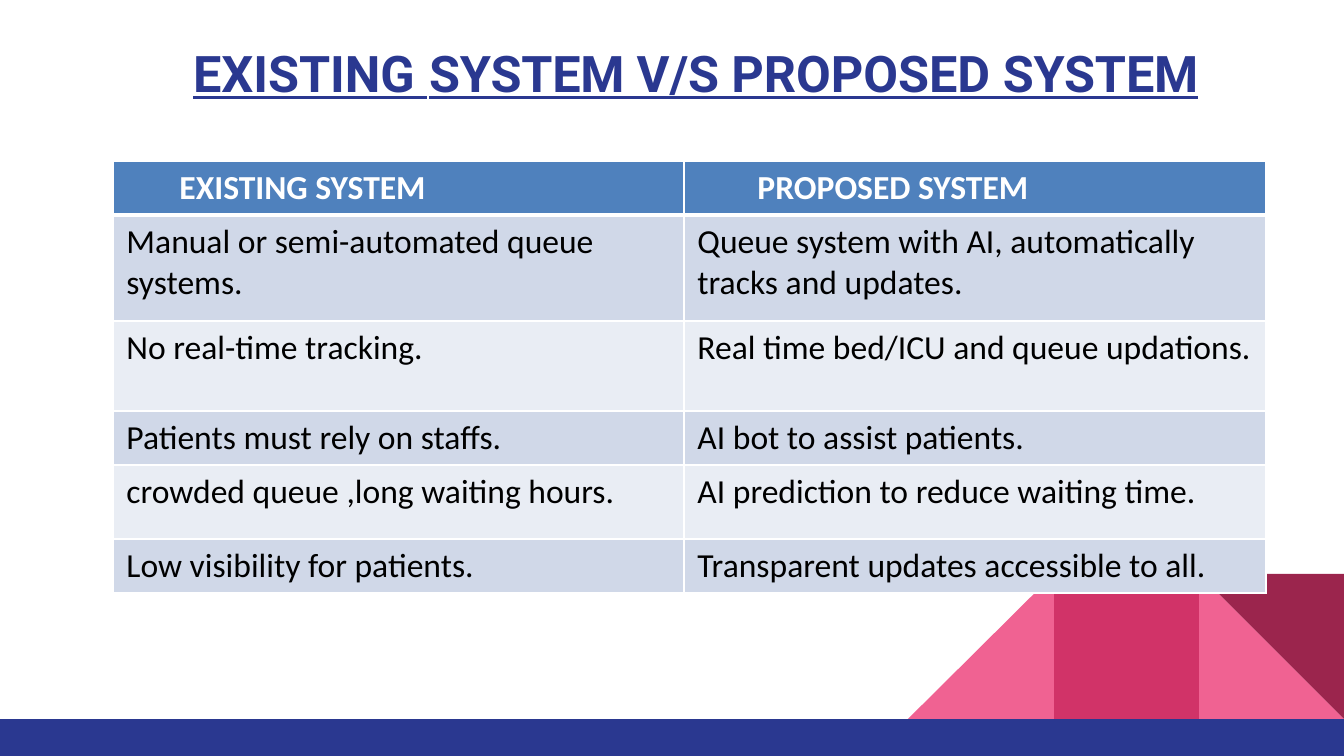
"""Build a slide comparing the existing and proposed queue systems."""
import lxml.etree
import pptx
import pptx.dml.color
import pptx.enum.text
import pptx.oxml.ns
import pptx.util

SCALE = 914400 / 134.4
COLORS = {
    "navy": "2A3890", "pink": "F06292", "rose": "D13368", "wine": "9B254D",
    "head": "4F81BD", "dark": "D0D8E8", "light": "E9EDF4",
    "white": "FFFFFF", "black": "000000",
}


def px(count):
    return pptx.util.Emu(round(count * SCALE))


def color(name):
    return pptx.dml.color.RGBColor.from_string(COLORS[name])


deck = pptx.Presentation()
deck.slide_width, deck.slide_height = px(1344), px(756)
slide = deck.slides.add_slide(deck.slide_layouts[5])

TOP, BASE = 574, 719
pieces = [
    ("pink", [(1344, BASE), (1199, BASE), (1199, TOP)]),
    ("pink", [(1054, BASE), (908, BASE), (1054, TOP)]),
    ("rose", [(1199, BASE), (1054, BASE), (1054, TOP), (1199, TOP)]),
    ("wine", [(1344, BASE), (1199, TOP), (1344, TOP)]),
    ("navy", [(1344, 756), (0, 756), (0, BASE), (1344, BASE)]),
]
for fill, points in pieces:
    pen = slide.shapes.build_freeform(*points[0], scale=SCALE)
    pen.add_line_segments(points[1:], close=True)
    piece = pen.convert_to_shape()
    piece.shadow.inherit = False
    piece.fill.solid()
    piece.fill.fore_color.rgb = color(fill)
    piece.line.fill.background()

title = slide.shapes.title
title.left, title.top, title.width, title.height = px(44), px(42), px(1160), px(60)
frame = title.text_frame
frame.margin_left = frame.margin_top = frame.margin_right = frame.margin_bottom = 0
frame.vertical_anchor = pptx.enum.text.MSO_ANCHOR.TOP
frame.word_wrap = True
frame.auto_size = pptx.enum.text.MSO_AUTO_SIZE.SHAPE_TO_FIT_TEXT
line = frame.paragraphs[0]
line.alignment = pptx.enum.text.PP_ALIGN.LEFT
line.font.name, line.font.size = "Roboto", pptx.util.Pt(27)
line.font.bold = line.font.underline = True
line.font.color.rgb = color("navy")
line._p.get_or_add_pPr().set("marL", str(px(149)))
for text, gap in [("EXISTING", 0), (" ", 90), ("SYSTEM V/S ", -10),
                  ("PROPOSED", 0), (" ", -80), ("SYSTEM", -10)]:
    run = line.add_run()
    run.text = text
    run.font.underline = True
    run._r.get_or_add_rPr().set("spc", str(gap))

rows = [
    ("EXISTING SYSTEM", "PROPOSED SYSTEM"),
    ("Manual or semi-automated queue systems.",
     "Queue system with AI, automatically tracks and updates."),
    ("No real-time tracking.", "Real time bed/ICU and queue updations."),
    ("Patients must rely on staffs.", "AI bot to assist patients."),
    ("crowded queue ,long waiting hours.", "AI prediction to reduce waiting time."),
    ("Low visibility for patients.", "Transparent updates accessible to all."),
]
widths = [571, 582]
heights = [54, 106, 90, 54, 74, 54]
indents = [53, 60]
table = slide.shapes.add_table(
    len(rows), len(widths), px(113), px(161), px(sum(widths)), px(sum(heights))).table
for column, width in zip(table.columns, widths):
    column.width = px(width)
for r, texts in enumerate(rows):
    table.rows[r].height = px(heights[r])
    for c, text in enumerate(texts):
        cell = table.cell(r, c)
        cell.text = text
        cell.fill.solid()
        cell.fill.fore_color.rgb = color("head" if r == 0 else "dark" if r % 2 else "light")
        para = cell.text_frame.paragraphs[0]
        para.font.name, para.font.size = "Calibri", pptx.util.Pt(18)
        para.font.bold = r == 0
        para.font.color.rgb = color("black" if r else "white")
        if r == 0:
            para._p.get_or_add_pPr().set("marL", str(px(indents[c])))
        props = cell._tc.get_or_add_tcPr()
        for i, side in enumerate(["lnL", "lnR", "lnT", "lnB"]):
            thick = (r, side) in [(0, "lnB"), (1, "lnT")]
            edge = lxml.etree.Element(pptx.oxml.ns.qn("a:" + side))
            edge.set("w", str(pptx.util.Pt(3 if thick else 1)))
            fill = lxml.etree.SubElement(edge, pptx.oxml.ns.qn("a:solidFill"))
            tint = lxml.etree.SubElement(fill, pptx.oxml.ns.qn("a:srgbClr"))
            tint.set("val", COLORS["white"])
            props.insert(i, edge)

deck.save("out.pptx")
